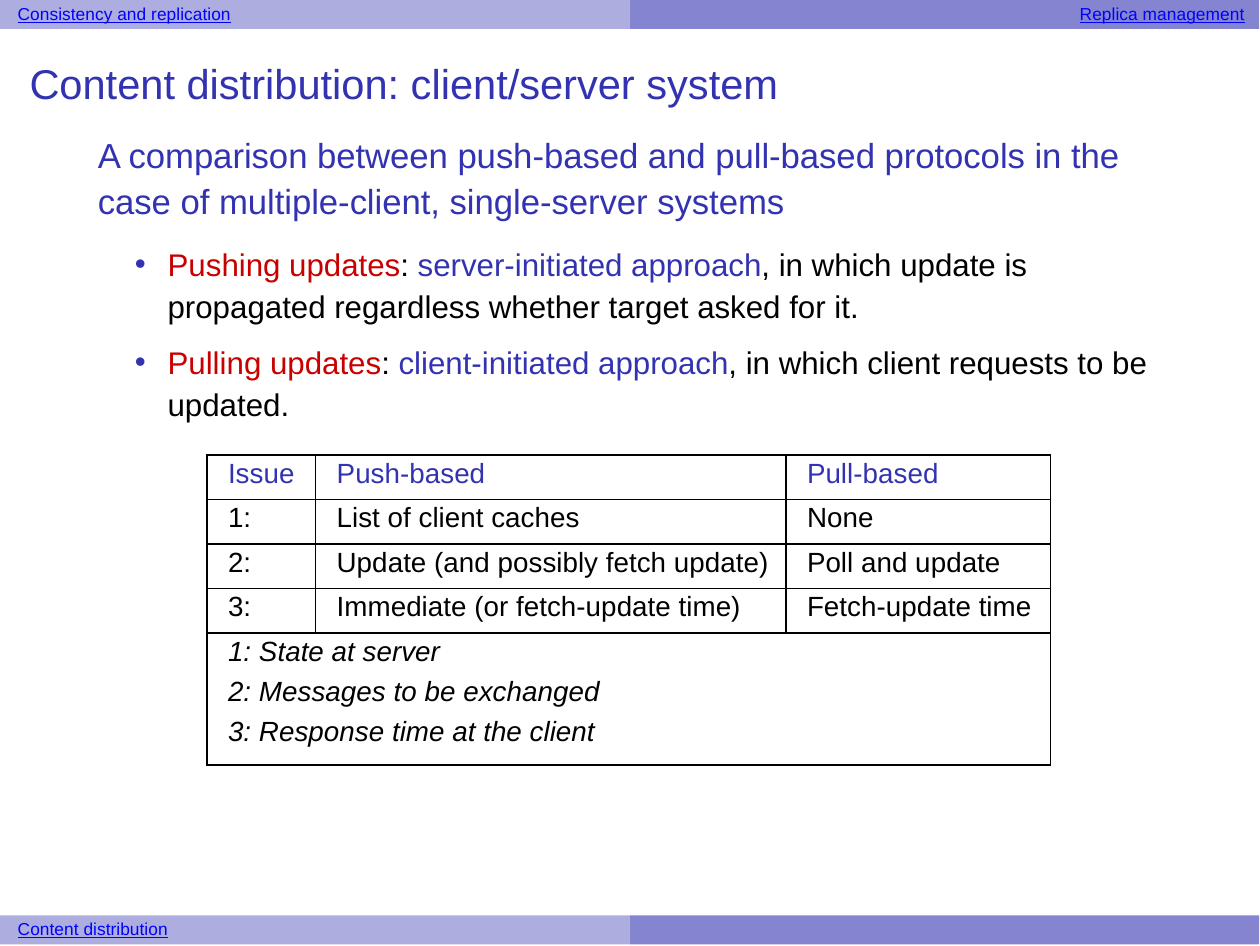
from lxml import etree
from pptx import Presentation
from pptx.dml.color import RGBColor
from pptx.enum import shapes, text
from pptx.oxml import ns
from pptx.util import Pt

W, H, BAR = 362.8, 272.1, 8.4
BLUE, RED, BLACK, LINK = "3333B2", "C80000", "000000", "0000FF"


def write(p, words, size=8, color=BLACK, italic=False, underline=False):
    r = p.add_run()
    r.text = words
    f = r.font
    f.name, f.size, f.italic, f.underline = "Arial", Pt(size), italic, underline
    f.color.rgb = RGBColor.from_string(color)


def place(sp, x, y, w, h):
    """Move a shape, clear its margins and return its first paragraph."""
    sp.left, sp.top, sp.width, sp.height = Pt(x), Pt(y), Pt(w), Pt(h)
    tf = sp.text_frame
    tf.word_wrap = True
    tf.auto_size = text.MSO_AUTO_SIZE.NONE
    tf.vertical_anchor = text.MSO_ANCHOR.TOP
    tf.margin_left = tf.margin_right = tf.margin_bottom = 0
    tf.margin_top = Pt(0.9)
    p = tf.paragraphs[0]
    p.alignment = text.PP_ALIGN.LEFT
    p.space_before = Pt(0)
    return p


prs = Presentation()
prs.slide_width, prs.slide_height = Pt(363), Pt(272.5)
s = prs.slides.add_slide(prs.slide_layouts[1])

# Header and footer bars
for y in (0, H - BAR):
    for x, color in ((0, "ADADE0"), (W / 2, "8484D1")):
        sp = s.shapes.add_shape(shapes.MSO_SHAPE.RECTANGLE, Pt(x), Pt(y), Pt(W / 2), Pt(BAR))
        sp.shadow.inherit = False
        sp.fill.solid()
        sp.fill.fore_color.rgb = RGBColor.from_string(color)
        sp.line.fill.background()

header = place(s.shapes.add_textbox(0, 0, 0, 0), 5.1, 0, 354, 8)
tabs = etree.SubElement(header._p.get_or_add_pPr(), ns.qn("a:tabLst"))
etree.SubElement(tabs, ns.qn("a:tab"), pos=str(Pt(306)), algn="l")
write(header, "Consistency and replication", size=5, color=LINK, underline=True)
write(header, "\t", size=5)
write(header, "Replica management", size=5, color=LINK, underline=True)

footer = place(s.shapes.add_textbox(0, 0, 0, 0), 5.1, H - BAR, 60, 8)
write(footer, "Content distribution", size=5, color=LINK, underline=True)

# Title
write(place(s.shapes.title, 8.5, 15.8, 300, 17),
      "Content distribution: client/server system", size=12, color=BLUE)

# Body
body = s.placeholders[1]
p = place(body, 26, 36.4, 308, 87)
p.line_spacing = 1.1
pPr = p._p.get_or_add_pPr()
pPr.set("marL", str(Pt(2.2)))
pPr.set("indent", "0")
etree.SubElement(pPr, ns.qn("a:buNone"))
write(p, "A comparison between push-based and pull-based protocols in the "
         "case of multiple-client, single-server systems", size=10, color=BLUE)

points = [
    (5.6, "Pushing updates", "server-initiated approach",
     ", in which update is propagated regardless whether target asked for it."),
    (4, "Pulling updates", "client-initiated approach",
     ", in which client requests to be updated."),
]
for gap, term, approach, rest in points:
    p = body.text_frame.add_paragraph()
    pPr = p._p.get_or_add_pPr()
    pPr.set("marL", str(Pt(22.3)))
    pPr.set("indent", str(Pt(-9.4)))
    clr = etree.SubElement(pPr, ns.qn("a:buClr"))
    etree.SubElement(clr, ns.qn("a:srgbClr"), val=BLUE)
    etree.SubElement(pPr, ns.qn("a:buChar"), char="•")
    p.alignment = text.PP_ALIGN.LEFT
    p.line_spacing, p.space_before = 1.12, Pt(gap)
    for words, color in ((term, RED), (": ", BLACK), (approach, BLUE), (rest, BLACK)):
        write(p, words, size=9, color=color)

# Comparison table
rows = [
    ["Issue", "Push-based", "Pull-based"],
    ["1:", "List of client caches", "None"],
    ["2:", "Update (and possibly fetch update)", "Poll and update"],
    ["3:", "Immediate (or fetch-update time)", "Fetch-update time"],
    ["", "", ""],
]
issues = ["1: State at server", "2: Messages to be exchanged", "3: Response time at the client"]
widths, heights = [31.3, 135.5, 76.3], [12.85] * 4 + [38]
tbl = s.shapes.add_table(len(rows), len(widths), Pt(59.6), Pt(131),
                         Pt(sum(widths)), Pt(sum(heights))).table
tbl.first_row = tbl.horz_banding = False
for col, width in zip(tbl.columns, widths):
    col.width = Pt(width)
for row, height, texts in zip(tbl.rows, heights, rows):
    row.height = Pt(height)
    for cell, words in zip(row.cells, texts):
        cell.margin_left, cell.margin_top = Pt(6.1), Pt(0.9)
        cell.margin_right = cell.margin_bottom = 0
        tcPr = cell._tc.get_or_add_tcPr()
        for side in ("lnL", "lnR", "lnT", "lnB"):
            ln = etree.SubElement(tcPr, ns.qn("a:" + side), w=str(Pt(0.5)))
            fill = etree.SubElement(ln, ns.qn("a:solidFill"))
            etree.SubElement(fill, ns.qn("a:srgbClr"), val=BLACK)
        cell.fill.background()
        if words:
            write(cell.text_frame.paragraphs[0], words,
                  color=BLUE if texts is rows[0] else BLACK)

legend = tbl.cell(4, 0)
legend.merge(tbl.cell(4, 2))
tf = legend.text_frame
for i, issue in enumerate(issues):
    p = tf.add_paragraph() if i else tf.paragraphs[0]
    p.line_spacing = 1.28 if i else 1.0
    write(p, issue, italic=True)

prs.save("out.pptx")
